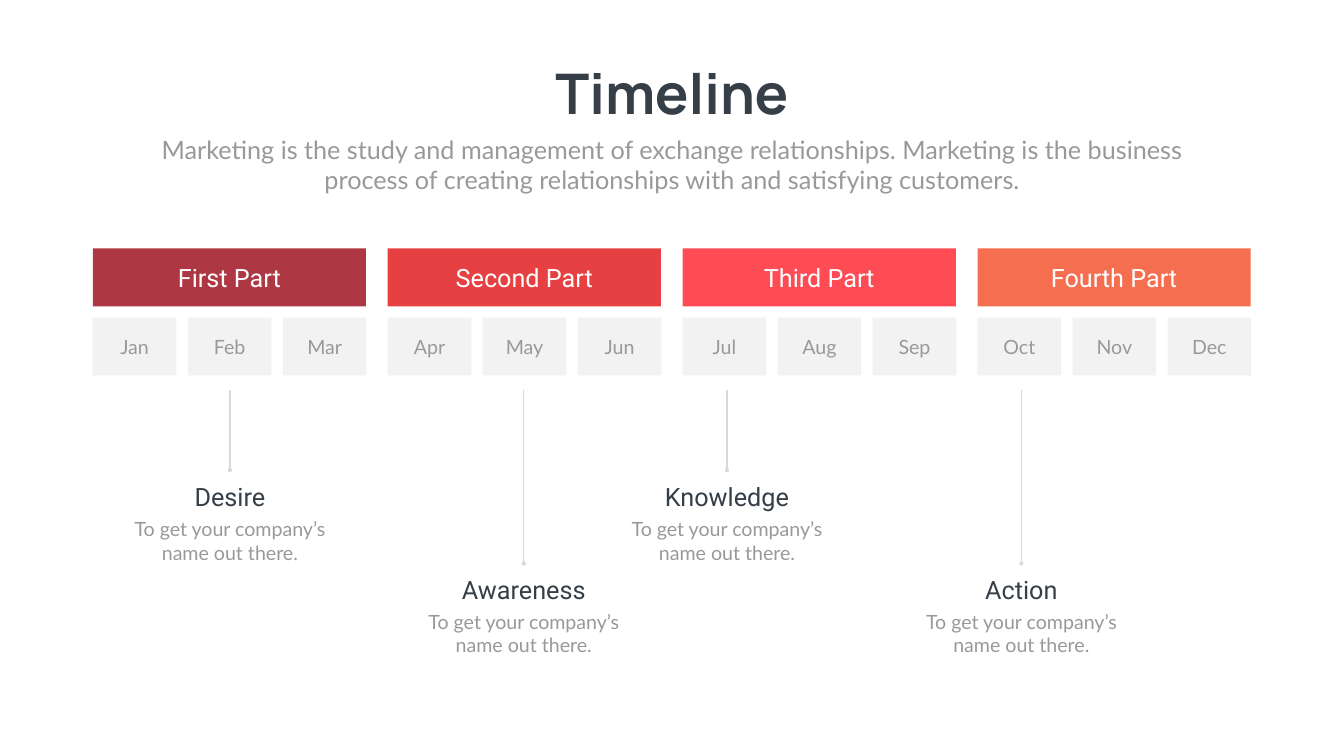
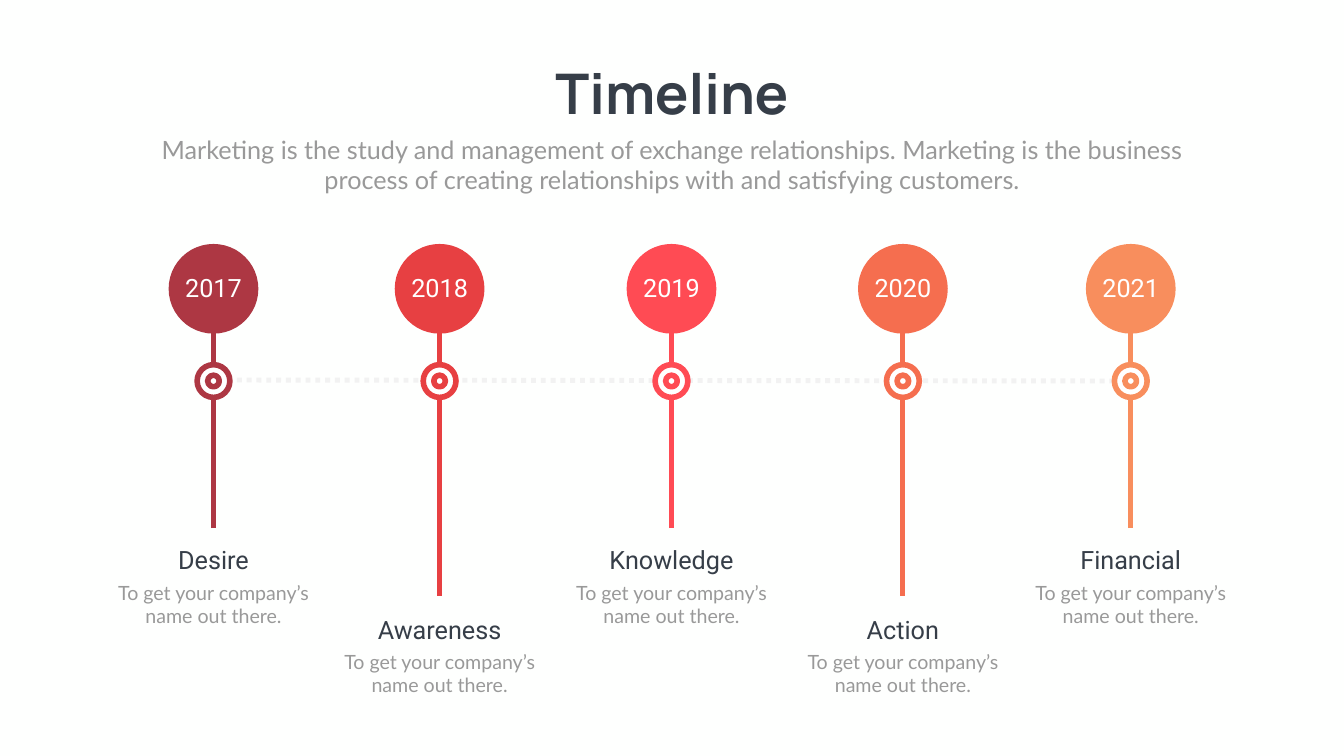
from dataclasses import dataclass

from lxml import etree
from pptx import Presentation
from pptx.dml.color import RGBColor
from pptx.enum import dml, shapes, text
from pptx.oxml.ns import qn
from pptx.util import Pt

# Colours
BACKGROUND = RGBColor(0xFE, 0xFF, 0xFE)
WHITE = RGBColor(0xFF, 0xFF, 0xFF)
DARK = RGBColor(0x36, 0x3E, 0x48)
GREY = RGBColor(0x99, 0x99, 0x99)
PALE = RGBColor(0xF2, 0xF2, 0xF2)
STEM = RGBColor(0xD9, 0xD9, 0xD9)
WINE = RGBColor(0xAD, 0x37, 0x43)
RED = RGBColor(0xE7, 0x40, 0x42)
CORAL = RGBColor(0xFF, 0x4B, 0x54)
ORANGE = RGBColor(0xF5, 0x6E, 0x4F)
APRICOT = RGBColor(0xF8, 0x8E, 0x5D)

# Text styles
TITLE = {"name": "Manrope", "size": Pt(80), "bold": True}
LEAD = {"name": "Lato", "size": Pt(36)}
BODY = {"name": "Lato", "size": Pt(28)}
LABEL = {"name": "Roboto", "size": Pt(36)}

# Shared page geometry, in points
SLIDE_W, SLIDE_H = 1919.52, 1080
DESCRIPTION = "To get your company’s name out there."

# Quarter grid
GRID_LEFT, QUARTER_TOP, MONTH_TOP, ROW_H = 132.48, 354.96, 453.6, 82.8
QUARTER_W, QUARTER_PITCH = 390.24, 421.2
MONTH_W, MONTH_PITCH = 119.52, 135.72
STEM_TOP = 557.28

# Year axis
AXIS_Y, DISC_Y, SPOKE_TOP = 544.32, 412.56, 415.44
DISC_D, RING_D, DOT_D = 128.16, 46.8, 16.56


@dataclass(frozen=True)
class Quarter:
    name: str
    color: RGBColor
    months: tuple[str, str, str]


@dataclass(frozen=True)
class Callout:
    heading: str
    x: float
    line_end: float
    top: float


@dataclass(frozen=True)
class Milestone:
    year: str
    color: RGBColor
    callout: Callout


QUARTERS = [
    Quarter("First Part", WINE, ("Jan", "Feb", "Mar")),
    Quarter("Second Part", RED, ("Apr", "May", "Jun")),
    Quarter("Third Part", CORAL, ("Jul", "Aug", "Sep")),
    Quarter("Fourth Part", ORANGE, ("Oct", "Nov", "Dec")),
]
MONTH_CALLOUTS = [
    Callout("Desire", 328.32, 671.76, 684),
    Callout("Awareness", 748.08, 804.96, 816.48),
    Callout("Knowledge", 1038.24, 671.76, 684),
    Callout("Action", 1458.72, 804.96, 816.48),
]
MILESTONES = [
    Milestone("2017", WINE, Callout("Desire", 304.92, 754.56, 774.72)),
    Milestone("2018", RED, Callout("Awareness", 627.84, 851.04, 873.36)),
    Milestone("2019", CORAL, Callout("Knowledge", 959.04, 754.56, 774.72)),
    Milestone("2020", ORANGE, Callout("Action", 1289.52, 851.04, 873.36)),
    Milestone("2021", APRICOT, Callout("Financial", 1614.96, 754.56, 774.72)),
]


def write(sp, content: str, style: dict, color: RGBColor, **frame) -> None:
    """Put one centred paragraph into a shape."""
    tf = sp.text_frame
    for key, value in {"word_wrap": True, **frame}.items():
        setattr(tf, key, value)
    p = tf.paragraphs[0]
    p.alignment = text.PP_ALIGN.CENTER
    r = p.add_run()
    r.text = content
    for key, value in style.items():
        setattr(r.font, key, value)
    r.font.color.rgb = color


def add_text(s, cx: float, top: float, w: float, h: float, content: str,
             style: dict, color: RGBColor, **frame) -> None:
    """Add a text box centred on cx."""
    sp = s.shapes.add_textbox(Pt(cx - w / 2), Pt(top), Pt(w), Pt(h))
    fit = text.MSO_AUTO_SIZE.SHAPE_TO_FIT_TEXT
    write(sp, content, style, color, auto_size=fit, **frame)


def add_block(s, kind, x: float, y: float, w: float, h: float,
              fill: RGBColor | None, line: RGBColor | None = None):
    sp = s.shapes.add_shape(kind, Pt(x), Pt(y), Pt(w), Pt(h))
    sp.shadow.inherit = False
    if fill is None:
        sp.fill.background()
    else:
        sp.fill.solid()
        sp.fill.fore_color.rgb = fill
    if line is None:
        sp.line.fill.background()
    else:
        sp.line.color.rgb = line
        sp.line.width = Pt(8)
    return sp


def add_box(s, x: float, y: float, w: float, fill: RGBColor,
            content: str, style: dict, color: RGBColor) -> None:
    sp = add_block(s, shapes.MSO_SHAPE.RECTANGLE, x, y, w, ROW_H, fill)
    write(sp, content, style, color, vertical_anchor=text.MSO_ANCHOR.MIDDLE)


def add_circle(s, cx: float, cy: float, d: float, fill: RGBColor | None,
               line: RGBColor | None = None) -> None:
    add_block(s, shapes.MSO_SHAPE.OVAL, cx - d / 2, cy - d / 2, d, d, fill, line)


def add_line(s, x1: float, y1: float, x2: float, y2: float,
             color: RGBColor, width: float):
    line = s.shapes.add_connector(shapes.MSO_CONNECTOR.STRAIGHT,
                                  Pt(x1), Pt(y1), Pt(x2), Pt(y2))
    line.line.color.rgb = color
    line.line.width = Pt(width)
    etree.SubElement(line._element.spPr, qn("a:effectLst"))
    return line


def add_callout(s, c: Callout) -> None:
    add_text(s, c.x, c.top + 51.12, 330.48, 74.88, DESCRIPTION, BODY, GREY)
    add_text(s, c.x, c.top, 288, 51.12, c.heading, LABEL, DARK)


def new_slide(prs):
    """Add a blank slide with the shared background, title and lead."""
    s = prs.slides.add_slide(prs.slide_layouts[6])
    s.background.fill.solid()
    s.background.fill.fore_color.rgb = BACKGROUND
    mid = SLIDE_W / 2
    add_text(s, mid, 80.64, 372.96, 104.4, "Timeline", TITLE, DARK, word_wrap=False)
    add_text(s, mid, 187.92, 1499.04, 94.32,
             "Marketing is the study and management of exchange relationships. "
             "Marketing is the business process of creating relationships with "
             "and satisfying customers.", LEAD, GREY)
    return s


def quarter_slide(prs) -> None:
    s = new_slide(prs)
    # Quarters and their months
    for i, q in enumerate(QUARTERS):
        x = GRID_LEFT + i * QUARTER_PITCH
        add_box(s, x, QUARTER_TOP, QUARTER_W, q.color, q.name, LABEL, WHITE)
        for j, month in enumerate(q.months):
            add_box(s, x + j * MONTH_PITCH, MONTH_TOP, MONTH_W, PALE,
                    month, BODY, GREY)
    # Callouts on stems with a round foot
    for c in MONTH_CALLOUTS:
        stem = add_line(s, c.x, c.line_end, c.x, STEM_TOP, STEM, 2)
        etree.SubElement(stem.line._get_or_add_ln(), qn("a:headEnd"), type="oval")
        add_callout(s, c)


def year_slide(prs) -> None:
    s = new_slide(prs)
    # Dotted axis
    axis = add_line(s, 310.32, 542.88, 1638.72, AXIS_Y, PALE, 7)
    axis.line.dash_style = dml.MSO_LINE.ROUND_DOT
    # Milestones: spoke, target, year disc, callout
    for m in MILESTONES:
        c = m.callout
        add_line(s, c.x, c.line_end, c.x, SPOKE_TOP, m.color, 7)
        add_circle(s, c.x, AXIS_Y, RING_D, WHITE, m.color)
        add_circle(s, c.x, AXIS_Y, DOT_D, None, m.color)
        add_circle(s, c.x, DISC_Y, DISC_D, m.color)
        inset = Pt(4.32)
        add_text(s, c.x, 385.2, 172.08, 51.84, m.year, LABEL, WHITE,
                 vertical_anchor=text.MSO_ANCHOR.MIDDLE,
                 margin_left=inset, margin_right=inset,
                 margin_top=inset, margin_bottom=inset)
        add_callout(s, c)


def main() -> None:
    prs = Presentation()
    prs.slide_width, prs.slide_height = Pt(SLIDE_W), Pt(SLIDE_H)
    quarter_slide(prs)
    year_slide(prs)
    prs.save("out.pptx")


if __name__ == "__main__":
    main()
